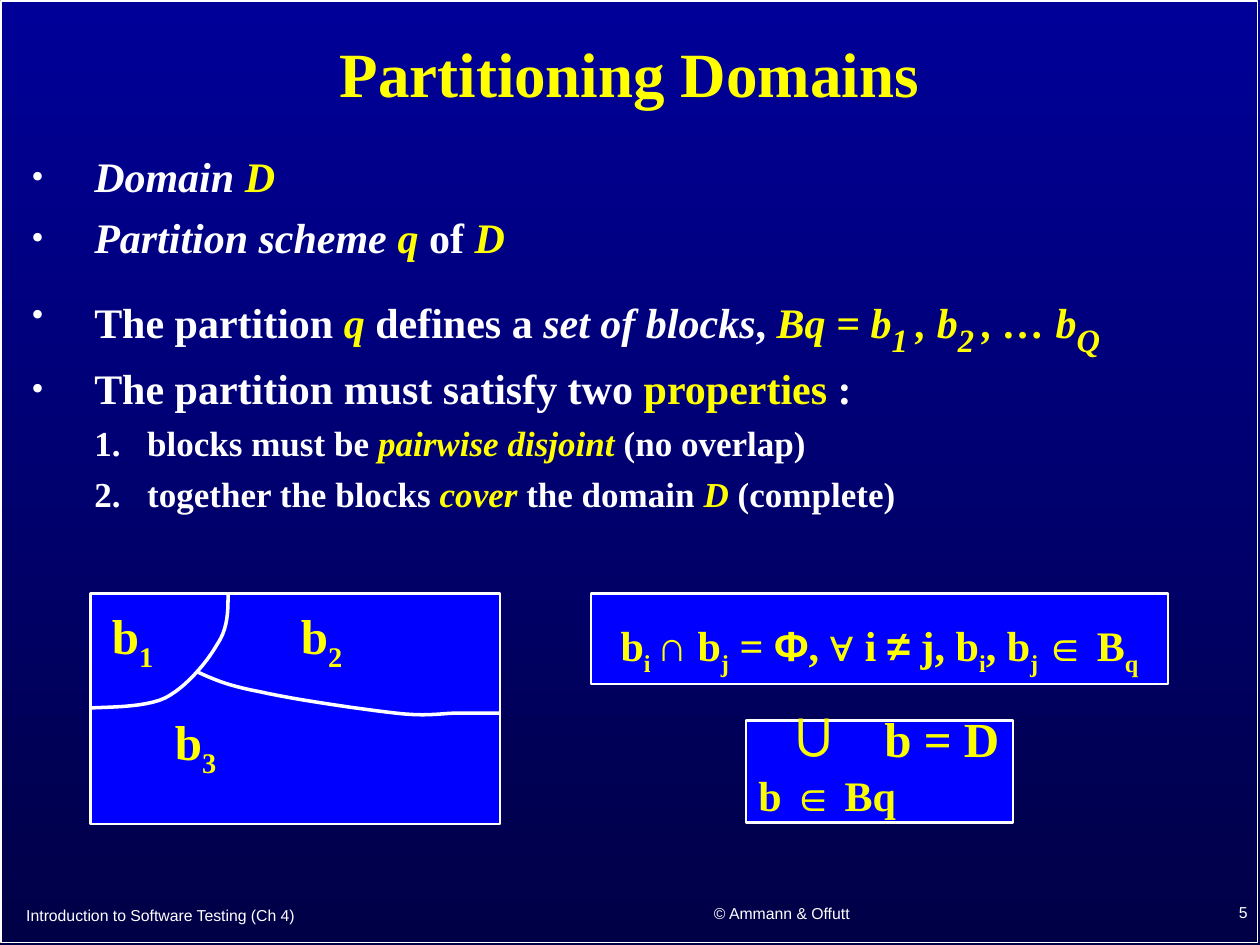
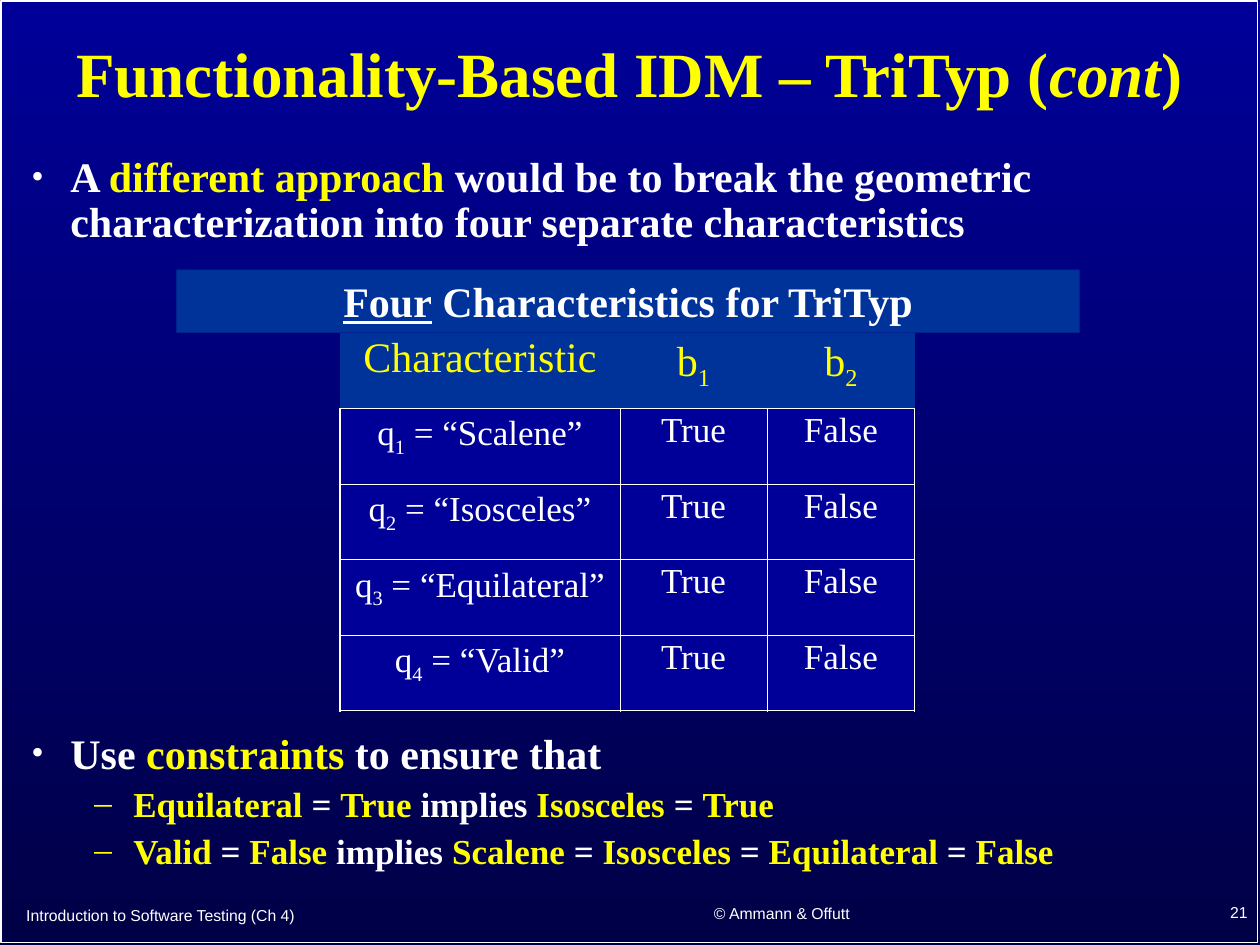
from lxml import etree
from pptx import Presentation
from pptx import util as u
from pptx.dml.color import RGBColor
from pptx.enum import shapes, text
from pptx.oxml.ns import qn

WHITE, YELLOW, GOLD = "FFFFFF", "FFFF00", "FAFD00"
NAVY, MIDNIGHT, BLUE, BAND = "000099", "000047", "0000FF", "003399"
SERIF, SANS = "Times New Roman", "Arial"
WIDTH, HEIGHT = 10, 7.5
NO_TABLE_STYLE = "{2D5ABB26-0587-4C30-8999-92F81FD0307C}"

# Inline marks {flags:text}: y yellow, g gold, i italic, s subscript,
# u underline, a sans serif, L 32 pt, H 36 pt
MARK_COLORS = {"y": YELLOW, "g": GOLD}
MARK_SIZES = {"L": 32, "H": 36}

# Paragraph styles; indent is (left margin, first line) in inches
BASE = dict(size=24, color=WHITE, font=SERIF, bold=True, align="LEFT",
            spacing=1.0, before=0, indent=(0, 0), bullet=None, tab=None)


def style(parent=BASE, **changes):
    return {**parent, **changes}


TITLE = style(size=36, color=YELLOW, align="CENTER", spacing=0.9)
FOOTER = style(size=9, font=SANS, bold=False)
POINT = style(spacing=0.9, before=9, indent=(0.5, -0.5), bullet="•")
LOOSE_POINT = style(POINT, before=12)
NUMBERED = style(POINT, size=20, before=7.5, indent=(0.92, -0.42), bullet="1.")
WIDE_POINT = style(POINT, indent=(0.31, -0.31))
TIGHT_POINT = style(WIDE_POINT, spacing=0.8)
DASH = style(TIGHT_POINT, size=20, before=7.5, indent=(0.81, -0.31), bullet="–")
DISJOINT = style(color=YELLOW, align="CENTER", spacing=1.35)
UNION = style(color=YELLOW, size=28, spacing=0.5, indent=(0, 0.26), tab=0.9)
UNION_RANGE = style(color=YELLOW, spacing=0.5, before=15)
BLOCK_LABEL = style(color=YELLOW, size=28)
TABLE_TITLE = style(align="CENTER")
TABLE_HEAD = style(color=YELLOW, bold=False, align="CENTER", spacing=0.9)
TABLE_BODY = style(TABLE_HEAD, color=WHITE, size=20)

COURSE = "Introduction to Software Testing (Ch 4)"
AUTHORS = "© Ammann & Offutt"

PARTITIONING = [
    ("{i:Domain }{yi:D}", POINT),
    ("{i:Partition scheme }{yi:q} of {yi:D}", POINT),
    ("The partition {yi:q} defines a {i:set of blocks}, {yi:Bq = b}{yisL:1 }"
     "{yi:, b}{yisL:2 }{yi:, … b}{yisL:Q}", LOOSE_POINT),
    ("The partition must satisfy two {y:properties} :", POINT),
    ("blocks must be {yi:pairwise disjoint }(no overlap)", NUMBERED),
    ("together the blocks {yi:cover} the domain {yi:D} (complete)", NUMBERED),
]
DISJOINT_RULE = [("b{s:i }{a:∩} b{s:j} = {a:Φ}, {ag:∀} i {a:≠} j, "
                  "b{s:i}, b{s:j }{a:∈} B{s:q}", DISJOINT)]
COVER_RULE = [("{agH:∪}{g:\tb = D}", UNION),
              ("{g:b }{ag:∈}{g: Bq}", UNION_RANGE)]
DOMAIN = (0.72, 4.71, 3.25, 1.83)
BLOCKS = [("b{s:1}", 0.79, 4.76), ("b{s:2}", 2.29, 4.76), ("b{s:3}", 1.29, 5.6)]
# Each border: a start point, then cubic segments (two controls and an end)
BORDERS = [
    [(1.81, 4.71),
     (1.81, 4.85), (1.81, 4.99), (1.72, 5.12),
     (1.64, 5.26), (1.47, 5.46), (1.31, 5.54),
     (1.14, 5.62), (0.82, 5.61), (0.72, 5.62)],
    [(1.56, 5.33),
     (1.67, 5.38), (1.79, 5.44), (2.06, 5.49),
     (2.32, 5.55), (2.87, 5.63), (3.14, 5.66),
     (3.4, 5.69), (3.5, 5.66), (3.64, 5.66),
     (3.78, 5.66), (3.92, 5.66), (3.97, 5.66)],
]

APPROACH = [("A {y:different approach} would be to break the geometric "
             "characterization into four separate characteristics", WIDE_POINT)]
TRITYP_TITLE = [("{u:Four} Characteristics for TriTyp", TABLE_TITLE)]
TRITYP_HEAD = ["Characteristic", "b{s:1}", "b{s:2}"]
TRITYP_KINDS = ["Scalene", "Isosceles", "Equilateral", "Valid"]
TRITYP_ROWS = [[f"q{{s:{n}}} = “{kind}”", "True", "False"]
               for n, kind in enumerate(TRITYP_KINDS, 1)]
TRITYP_COLUMNS, TRITYP_ROW = (2.22, 1.17, 1.17), 0.6
CONSTRAINTS = [
    ("Use {y:constraints} to ensure that", TIGHT_POINT),
    ("{y:Equilateral} = {y:True} implies {y:Isosceles} = {y:True}", DASH),
    ("{y:Valid} = {y:False} implies {y:Scalene} = {y:Isosceles} = "
     "{y:Equilateral} = {y:False}", DASH),
]


def rgb(code):
    return RGBColor.from_string(code)


def inches(*lengths):
    return [u.Inches(length) for length in lengths]


def child(parent, tag, **attributes):
    return etree.SubElement(parent, qn(tag),
                            {key: str(value) for key, value in attributes.items()})


def set_bullet(paragraph, look):
    """Indent, bullet and tab stop of one paragraph."""
    props = paragraph._p.get_or_add_pPr()
    left, first = inches(*look["indent"])
    props.set("marL", str(left))
    props.set("indent", str(first))
    bullet = look["bullet"]
    if bullet:
        color = child(props, "a:buClr")
        child(color, "a:srgbClr", val=YELLOW if bullet == "–" else WHITE)
        if bullet == "•":
            child(props, "a:buSzPct", val=85000)
        child(props, "a:buFont", typeface=SERIF)
        if bullet == "1.":
            child(props, "a:buAutoNum", type="arabicPeriod")
        else:
            child(props, "a:buChar", char=bullet)
    else:
        child(props, "a:buNone")
    if look["tab"]:
        stops = child(props, "a:tabLst")
        child(stops, "a:tab", pos=u.Inches(look["tab"]), algn="l")


def add_run(paragraph, words, flags, look):
    run = paragraph.add_run()
    run.text = words
    font = run.font
    font.name = SANS if "a" in flags else look["font"]
    font.size = u.Pt(next((MARK_SIZES[f] for f in flags if f in MARK_SIZES),
                          look["size"]))
    font.color.rgb = rgb(next((MARK_COLORS[f] for f in flags if f in MARK_COLORS),
                              look["color"]))
    font.bold = look["bold"]
    font.italic = "i" in flags
    font.underline = "u" in flags
    if "s" in flags:
        run._r.get_or_add_rPr().set("baseline", "-25000")


def write(frame, paragraphs):
    """Fill a text frame with (marked-up text, style) pairs."""
    for index, (marked, look) in enumerate(paragraphs):
        paragraph = frame.add_paragraph() if index else frame.paragraphs[0]
        set_bullet(paragraph, look)
        paragraph.alignment = getattr(text.PP_ALIGN, look["align"])
        paragraph.line_spacing = look["spacing"]
        paragraph.space_before = u.Pt(look["before"] if index else 0)
        for part, words in enumerate(marked.replace("}", "{").split("{")):
            flags = ""
            if part % 2:
                flags, _, words = words.partition(":")
            if words:
                add_run(paragraph, words, flags, look)


def add_text(slide, box, paragraphs, wrap=True, anchor="TOP"):
    frame = slide.shapes.add_textbox(*inches(*box)).text_frame
    frame.word_wrap = wrap
    frame.vertical_anchor = getattr(text.MSO_ANCHOR, anchor)
    write(frame, paragraphs)


def add_panel(slide, box, fill=None, line=None, paragraphs=()):
    panel = slide.shapes.add_shape(shapes.MSO_SHAPE.RECTANGLE, *inches(*box))
    panel.shadow.inherit = False
    if fill:
        panel.fill.solid()
        panel.fill.fore_color.rgb = rgb(fill)
    else:
        panel.fill.background()
    if line:
        panel.line.color.rgb = rgb(WHITE)
        panel.line.width = u.Pt(line)
    else:
        panel.line.fill.background()
    panel.text_frame.vertical_anchor = text.MSO_ANCHOR.TOP
    write(panel.text_frame, paragraphs)


def add_curve(slide, points, steps=12):
    """Draw a chain of cubic Bézier segments as one open outline."""
    traced = []
    for k in range(0, len(points) - 1, 3):
        for step in range(1, steps + 1):
            t = step / steps
            weights = ((1 - t) ** 3, 3 * t * (1 - t) ** 2, 3 * t * t * (1 - t), t ** 3)
            traced.append(inches(*(sum(w * p[axis] for w, p in
                                       zip(weights, points[k:k + 4]))
                                   for axis in (0, 1))))
    builder = slide.shapes.build_freeform(*inches(*points[0]), scale=1.0)
    builder.add_line_segments(traced, close=False)
    curve = builder.convert_to_shape()
    curve.shadow.inherit = False
    curve.fill.background()
    curve.line.color.rgb = rgb(WHITE)
    curve.line.width = u.Pt(2)


def set_borders(cell, widths):
    props = cell._tc.get_or_add_tcPr()
    for side, width in zip("LRTB", widths):
        line = child(props, f"a:ln{side}", w=u.Pt(width))
        child(child(line, "a:solidFill"), "a:srgbClr", val=WHITE)


def add_trityp_table(slide, left, top):
    rows = [TRITYP_HEAD] + TRITYP_ROWS
    last_row, last_column = len(rows) - 1, len(TRITYP_COLUMNS) - 1
    holder = slide.shapes.add_table(
        len(rows), len(TRITYP_COLUMNS),
        *inches(left, top, sum(TRITYP_COLUMNS), TRITYP_ROW * len(rows)))
    table = holder.table
    table.first_row = table.horz_banding = False
    next(holder._element.iter(qn("a:tableStyleId"))).text = NO_TABLE_STYLE
    for column, width in zip(table.columns, TRITYP_COLUMNS):
        column.width = u.Inches(width)
    thin, thick = 0.45, 1.08
    for r, row in enumerate(rows):
        table.rows[r].height = u.Inches(TRITYP_ROW)
        for c, words in enumerate(row):
            cell = table.cell(r, c)
            if r:
                set_borders(cell, (thin if c else thick,
                                   thick if c == last_column else thin,
                                   thin,
                                   thick if r == last_row else thin))
            cell.fill.solid()
            cell.fill.fore_color.rgb = rgb(NAVY if r else BAND)
            write(cell.text_frame, [(words, TABLE_BODY if r else TABLE_HEAD)])


def add_slide(deck, title, number):
    slide = deck.slides.add_slide(deck.slide_layouts[5])
    add_panel(slide, (0.01, 0.01, WIDTH - 0.03, HEIGHT - 0.03), line=1)
    heading = slide.shapes.title
    heading.left, heading.top, heading.width, heading.height = inches(0.15, 0.11, 9.69, 1)
    heading.text_frame.auto_size = text.MSO_AUTO_SIZE.NONE
    heading.text_frame.vertical_anchor = text.MSO_ANCHOR.MIDDLE
    write(heading.text_frame, [(title, TITLE)])
    for words, box, align in [(COURSE, (0.11, 7.07, 4.31, 0.38), "LEFT"),
                              (AUTHORS, (4.62, 7.05, 3.17, 0.39), "CENTER"),
                              (str(number), (7.92, 7.04, 2.08, 0.4), "RIGHT")]:
        add_text(slide, box, [(words, style(FOOTER, align=align))], anchor="MIDDLE")
    return slide


def set_background(deck):
    fill = deck.slide_master.background.fill
    fill.gradient()
    fill.gradient_angle = 270
    for stop, color, position in zip(fill.gradient_stops, (NAVY, MIDNIGHT), (0, 1)):
        stop.color.rgb = rgb(color)
        stop.position = position


def main():
    deck = Presentation()
    deck.slide_width, deck.slide_height = inches(WIDTH, HEIGHT)
    set_background(deck)

    domains = add_slide(deck, "Partitioning Domains", 5)
    add_text(domains, (0.15, 1.19, 9.7, 3.49), PARTITIONING)
    add_panel(domains, (4.69, 4.71, 4.58, 0.72), BLUE, 1.5, DISJOINT_RULE)
    add_panel(domains, DOMAIN, BLUE, 1.5)
    for border in BORDERS:
        add_curve(domains, border)
    for label, left, top in BLOCKS:
        add_text(domains, (left, top, 0.75, 0.63), [(label, BLOCK_LABEL)])
    add_panel(domains, (5.92, 5.72, 2.12, 0.81), BLUE, 1.5, COVER_RULE)

    trityp = add_slide(deck, "Functionality-Based IDM – TriTyp ({i:cont})", 21)
    add_text(trityp, (0.15, 1.19, 9.69, 0.92), APPROACH)
    add_panel(trityp, (1.4, 2.14, 7.17, 0.5), BAND, paragraphs=TRITYP_TITLE)
    add_trityp_table(trityp, 2.7, 2.64)
    add_text(trityp, (0.15, 5.8, 9.69, 1.19), CONSTRAINTS)

    deck.save("out.pptx")


if __name__ == "__main__":
    main()
